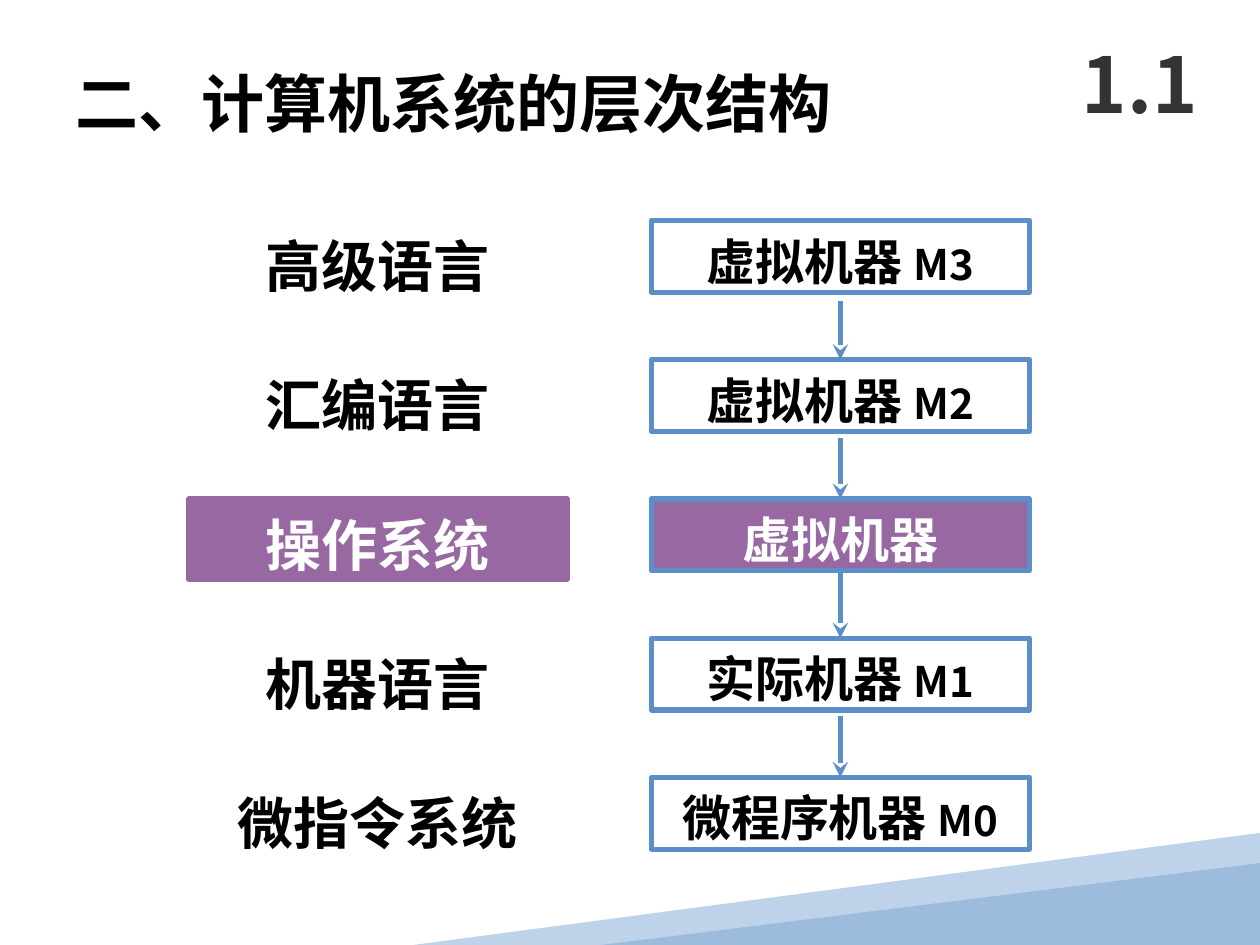
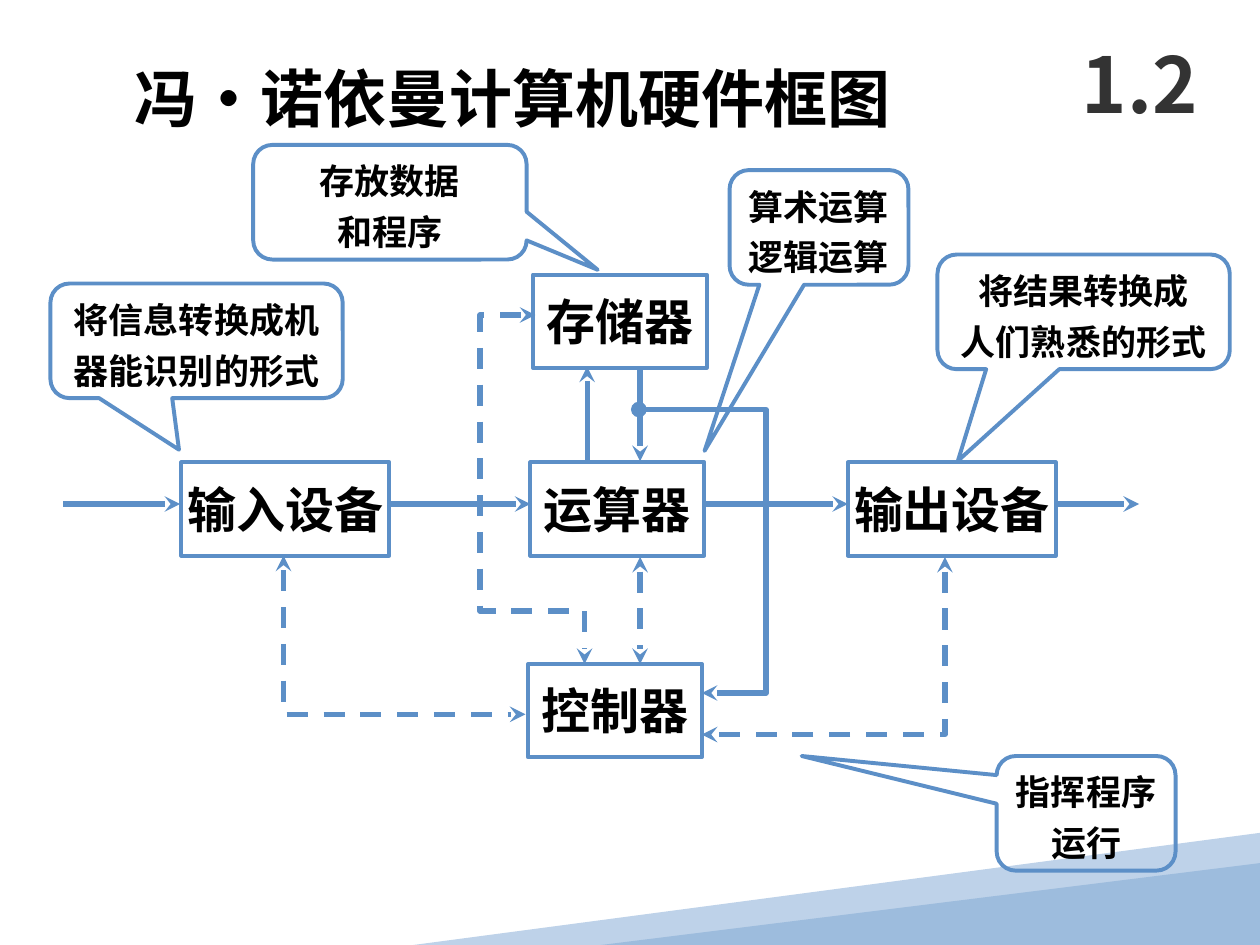
from lxml.etree import SubElement
from pptx import Presentation
from pptx.dml.color import RGBColor
from pptx.enum.dml import MSO_LINE
from pptx.enum.shapes import MSO_CONNECTOR, MSO_SHAPE
from pptx.enum.text import MSO_ANCHOR, PP_ALIGN
from pptx.oxml.ns import qn
from pptx.util import Inches, Pt

FONT = "Noto Sans CJK SC"
BLUE, PURPLE = "5C8FC7", "9868A3"
BLACK, WHITE, GREY = "000000", "FFFFFF", "333333"
PALE_BAND, DEEP_BAND = "BED2E9", "9DBCDD"
LINE_HEIGHT = 1.29


def rgb(value):
    """Turn a hex string into a colour."""
    return RGBColor.from_string(value)


def write(shape, paragraphs, color=BLACK, align=PP_ALIGN.CENTER,
          anchor=MSO_ANCHOR.TOP, side=0.1, top=0.05, gap=0):
    """Fill a shape with paragraphs, each a list of (text, size) runs."""
    frame = shape.text_frame
    frame.word_wrap = True
    frame.vertical_anchor = anchor
    frame.margin_left = frame.margin_right = Inches(side)
    frame.margin_top = frame.margin_bottom = Inches(top)
    for index, runs in enumerate(paragraphs):
        paragraph = frame.add_paragraph() if index else frame.paragraphs[0]
        paragraph.alignment = align
        paragraph.line_spacing = Pt(LINE_HEIGHT * max(size for _, size in runs))
        if index:
            paragraph.space_before = Pt(gap)
        for text, size in runs:
            run = paragraph.add_run()
            run.text = text
            run.font.size = Pt(size)
            run.font.bold = True
            run.font.name = FONT
            run.font.color.rgb = rgb(color)
            SubElement(run._r.get_or_add_rPr(), qn("a:ea"), typeface=FONT)


def paint(shape, fill=None, line=None, width=3):
    """Set the fill and outline of a shape and drop its shadow."""
    shape.shadow.inherit = False
    if fill:
        shape.fill.solid()
        shape.fill.fore_color.rgb = rgb(fill)
    else:
        shape.fill.background()
    if line:
        shape.line.color.rgb = rgb(line)
        shape.line.width = Pt(width)
    else:
        shape.line.fill.background()


def add_block(slide, kind, box, fill=None, line=BLUE, width=3):
    """Draw a preset shape in a box of inches."""
    shape = slide.shapes.add_shape(kind, *map(Inches, box))
    paint(shape, fill, line, width)
    return shape


def add_label(slide, box, text, size, **style):
    """Place one line of plain text."""
    label = slide.shapes.add_textbox(*map(Inches, box))
    write(label, [[(text, size)]], **style)


def add_outline(slide, points, close):
    """Build a freeform through points given in inches."""
    start, *rest = [(Inches(x), Inches(y)) for x, y in points]
    builder = slide.shapes.build_freeform(*start)
    builder.add_line_segments(rest, close=close)
    return builder.convert_to_shape()


def style_ends(line, head, tail):
    """Put end marks on a line."""
    ln = line._get_or_add_ln()
    for tag, mark in (("a:headEnd", head), ("a:tailEnd", tail)):
        if mark:
            SubElement(ln, qn(tag), type=mark)


def add_arrow(slide, start, end, source=None, target=None, head=None, dashed=False):
    """Draw a straight arrow, joined to source's bottom and target's top if given."""
    arrow = slide.shapes.add_connector(
        MSO_CONNECTOR.STRAIGHT, *map(Inches, (*start, *end)))
    if source:
        arrow.begin_connect(source, 2)
    if target:
        arrow.end_connect(target, 0)
    arrow.line.color.rgb = rgb(BLUE)
    arrow.line.width = Pt(3)
    if dashed:
        arrow.line.dash_style = MSO_LINE.DASH
    style_ends(arrow.line, head, "stealth")
    SubElement(arrow._element.spPr, qn("a:effectLst"))


def add_route(slide, points, head="stealth", dashed=True):
    """Draw a bent arrow through several points."""
    route = add_outline(slide, points, close=False)
    paint(route, line=BLUE)
    if dashed:
        route.line.dash_style = MSO_LINE.DASH
    style_ends(route.line, head, "stealth")


def add_base(prs, title, title_box, section):
    """Add a slide with the corner bands, title and section number."""
    slide = prs.slides.add_slide(prs.slide_layouts[6])
    band = add_outline(
        slide, [(10, 6.61), (10, 7.44), (6.73, 7.5), (3.28, 7.5)], close=True)
    paint(band, PALE_BAND)
    wedge = add_block(slide, MSO_SHAPE.ISOSCELES_TRIANGLE,
                      (4.77, 6.85, 5.23, 0.65), DEEP_BAND, None)
    wedge.adjustments[0] = 1
    add_label(slide, title_box, title, 36, align=PP_ALIGN.LEFT)
    add_label(slide, (8.42, 0.17, 1.25, 0.92), section, 44,
              color=GREY, anchor=MSO_ANCHOR.MIDDLE)
    return slide


def add_callout(slide, box, tail, lines):
    """Draw a speech balloon whose tail is set by two adjustments."""
    callout = add_block(slide, MSO_SHAPE.ROUNDED_RECTANGULAR_CALLOUT, box, width=2.25)
    callout.adjustments[0], callout.adjustments[1] = tail
    write(callout, [[(line, 20)] for line in lines], gap=3.2)


def build_levels(prs):
    """Build the slide on the levels of a computer system."""
    slide = add_base(prs, "二、计算机系统的层次结构", (0.5, 0.42, 8.5, 1), "1.1")
    levels = [
        ("高级语言", "虚拟机器", "M3"),
        ("汇编语言", "虚拟机器", "M2"),
        ("操作系统", "虚拟机器", None),
        ("机器语言", "实际机器", "M1"),
        ("微指令系统", "微程序机器", "M0"),
    ]
    machines = []
    for index, (language, machine, code) in enumerate(levels):
        top = 1.75 + 4.42 * index / 4
        language_box = (1.5, top, 3, 0.64)
        fill = None if code else PURPLE
        color = BLACK if code else WHITE
        if code:
            add_label(slide, language_box, language, 32)
        else:
            system = add_block(slide, MSO_SHAPE.RECTANGLE, language_box, PURPLE, PURPLE)
            write(system, [[(language, 32)]], color=color)
        block = add_block(slide, MSO_SHAPE.RECTANGLE, (5.17, top, 3, 0.57), fill)
        runs = [(machine + " ", 28), (code, 24)] if code else [(machine, 28)]
        write(block, [runs], color=color)
        machines.append(block)
    starts = (2.39, 3.48, 4.53, 5.68)
    for index, (start, target) in enumerate(zip(starts, machines[1:])):
        source = machines[index] if index == 2 else None
        add_arrow(slide, (6.67, start), (6.67, start + 0.5), source, target)


def build_hardware(prs):
    """Build the slide with the hardware block diagram."""
    slide = add_base(prs, "冯·诺依曼计算机硬件框图", (0.97, 0.38, 7, 0.7), "1.2")
    callouts = [
        ((5.79, 1.35, 1.42, 0.91), (-0.64, 1.95), ("算术运算", "逻辑运算")),
        ((2.01, 1.15, 2.17, 0.91), (0.76, 0.59), ("存放数据", "和程序")),
        ((0.4, 2.25, 2.32, 0.91), (-0.06, 0.95), ("将信息转换成机", "器能识别的形式")),
        ((7.44, 2.02, 2.32, 0.91), (-0.43, 1.3), ("将结果转换成", "人们熟悉的形式")),
        ((7.91, 6, 1.42, 0.91), (-1.59, -0.5), ("指挥程序", "运行")),
    ]
    for callout in callouts:
        add_callout(slide, *callout)

    units = [
        ("存储器", 4.23, 2.18, 1.38),
        ("输入设备", 1.44, 3.67, 1.65),
        ("运算器", 4.21, 3.67, 1.38),
        ("控制器", 4.19, 5.27, 1.38),
        ("输出设备", 6.73, 3.67, 1.65),
    ]
    for name, left, top, width in units:
        unit = add_block(slide, MSO_SHAPE.RECTANGLE, (left, top, width, 0.74), width=2.25)
        write(unit, [[(name, 28)]], side=0, top=0.1)

    control_routes = [
        [(2.25, 4.41), (2.25, 5.67), (4.17, 5.67)],
        [(4.25, 2.5), (3.81, 2.5), (3.81, 4.85), (4.64, 4.85), (4.64, 5.27)],
        [(7.5, 4.42), (7.5, 5.83), (5.57, 5.83)],
    ]
    for route in control_routes:
        add_route(slide, route)
    add_arrow(slide, (5.08, 4.42), (5.08, 5.27), head="stealth", dashed=True)

    add_arrow(slide, (4.66, 3.67), (4.66, 2.91))
    add_arrow(slide, (5.08, 2.92), (5.08, 3.66))
    add_route(slide, [(5.07, 3.25), (6.08, 3.25), (6.08, 5.5), (5.57, 5.5)],
              head="oval", dashed=False)
    for start, end in ((0.5, 1.43), (3.08, 4.21), (5.58, 6.73), (8.4, 9.04)):
        add_arrow(slide, (start, 4), (end, 4))


def main():
    """Build both slides and save the presentation."""
    prs = Presentation()
    prs.slide_width, prs.slide_height = Inches(10), Inches(7.5)
    build_levels(prs)
    build_hardware(prs)
    prs.save("out.pptx")


if __name__ == "__main__":
    main()
